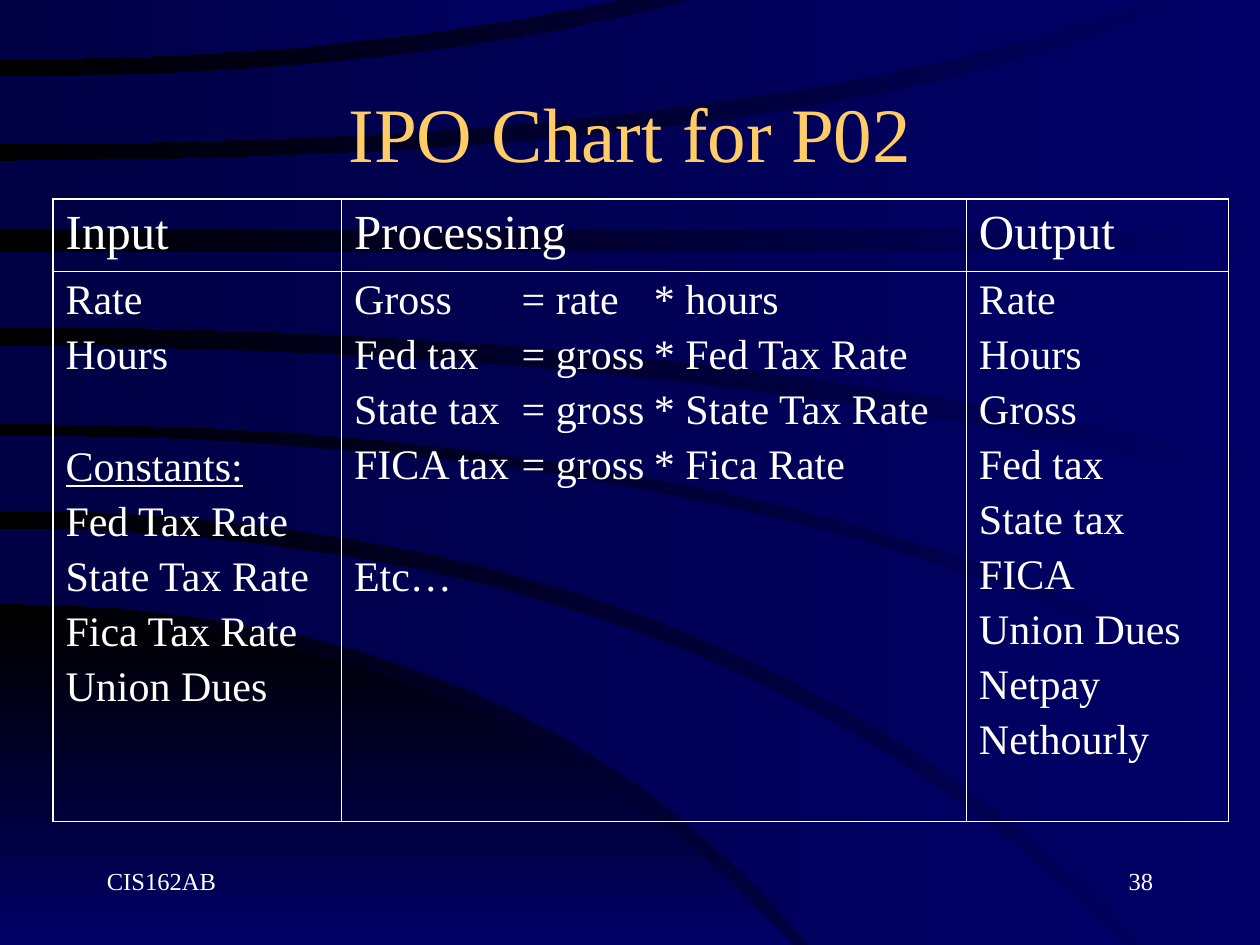
"""Build the IPO chart slide: dark swooping bands, a title, a table and a footer."""
from pptx import Presentation
from pptx.dml.color import RGBColor
from pptx.enum.text import MSO_ANCHOR, PP_ALIGN
from pptx.oxml.ns import qn
from pptx.util import Inches, Pt
from lxml import etree

MID = MSO_ANCHOR.MIDDLE
LEFT, MIDDLE, RIGHT = PP_ALIGN.LEFT, PP_ALIGN.CENTER, PP_ALIGN.RIGHT

THEME = {
    "font": "Times New Roman",
    "gold": "FFCC66", "white": "FFFFFF",
    "navy": "000066", "dusk": "000044", "black": "000000",
    "title": 44, "head": 28, "body": 24, "foot": 14,
    "space": 4.9, "gap": 37.4, "outer": 1.08, "inner": 0.45,
}


def shade(fill, start, end, angle):
    """Give a fill a two-stop linear gradient."""
    fill.gradient()
    fill.gradient_angle = angle
    for stop, tone in zip(fill.gradient_stops, (start, end)):
        stop.color.rgb = RGBColor.from_string(THEME[tone])


def style(par, size, tone="white", align=LEFT):
    """Set the type of one paragraph."""
    par.alignment = align
    par.font.name = THEME["font"]
    par.font.size = Pt(THEME[size])
    par.font.color.rgb = RGBColor.from_string(THEME[tone])


prs = Presentation()
prs.slide_width, prs.slide_height = Inches(10), Inches(7.5)
W, H = prs.slide_width, prs.slide_height
slide = prs.slides.add_slide(prs.slide_layouts[5])
shade(slide.background.fill, "navy", "black", 180)

UNIT = Inches(0.01)
STEPS = 16
BANDS = [
    [(491, 398, 629, 750), (750, 315, 629, 750)],
    [(420, 568, 893, 750), (479, 419, 642, 750)],
    [(346, 630, 1000, 562), (405, 582, 909, 750)],
    [(275, 554, 1000, 385), (336, 634, 1000, 548)],
    [(200, 500, 1000, 200), (259, 566, 1000, 368)],
    [(128, 674, 943, -2), (182, 500, 1000, 182)],
    [(61, 332, 556, -2), (114, 618, 917, -2)],
    [(-2, 250, 501, -2), (47, 276, 501, -2)],
]
for i, edges in enumerate(BANDS):
    curves = []
    for start, bend, right, end in edges:
        curve = []
        for step in range(STEPS + 1):
            t = step / STEPS
            curve.append((2 * t * (1 - t) * bend + t * t * right,
                          start + t * t * (end - start)))
        curves.append(curve)
    upper, lower = curves
    ends = upper[-1], lower[-1]
    corner = (max(ends)[0], min(ends)[1])
    path = slide.shapes.build_freeform(*upper[0], scale=UNIT)
    path.add_line_segments(upper[1:] + [corner] + lower[::-1], close=True)
    band = path.convert_to_shape()
    band.shadow.inherit = False
    band.line.fill.background()
    if i == 0:
        shade(band.fill, "black", "navy", 270)
    else:
        shade(band.fill, "navy", "dusk", 180)

title = slide.shapes.title
slide.shapes._spTree.append(title._element)
title.left, title.top = int(W * 0.075), Inches(0.42)
title.width, title.height = int(W * 0.85), Inches(1.25)
title.text_frame.vertical_anchor = MID
title.text_frame.text = "IPO Chart for P02"
style(title.text_frame.paragraphs[0], "title", "gold", MIDDLE)

COLS = [2.29, 4.96, 2.08]
ROWS = [0.57, 4.37]
TABS = [1.33, 2.38]
CELLS = [
    [["Input"], ["Processing"], ["Output"]],
    [["Rate", "Hours", "Constants:", "Fed Tax Rate", "State Tax Rate",
      "Fica Tax Rate", "Union Dues"],
     ["Gross\t= rate\t* hours", "Fed tax\t= gross\t* Fed Tax Rate",
      "State tax\t= gross\t* State Tax Rate", "FICA tax\t= gross\t* Fica Rate",
      "Etc…"],
     ["Rate", "Hours", "Gross", "Fed tax", "State tax", "FICA", "Union Dues",
      "Netpay", "Nethourly"]],
]
frame = slide.shapes.add_table(len(ROWS), len(COLS), Inches(0.42), Inches(1.58),
                               Inches(sum(COLS)), Inches(sum(ROWS)))
table = frame.table
table.first_row = table.horz_banding = False
for col, width in zip(table.columns, COLS):
    col.width = Inches(width)
for row, height in zip(table.rows, ROWS):
    row.height = Inches(height)

for r, line in enumerate(CELLS):
    for c, texts in enumerate(line):
        cell = table.cell(r, c)
        props = cell._tc.get_or_add_tcPr()
        sides = {"L": c == 0, "R": c == len(COLS) - 1,
                 "T": r == 0, "B": r == len(ROWS) - 1}
        for side, outer in sides.items():
            width = Pt(THEME["outer" if outer else "inner"])
            rule = etree.SubElement(props, qn("a:ln" + side), w=str(int(width)))
            solid = etree.SubElement(rule, qn("a:solidFill"))
            etree.SubElement(solid, qn("a:srgbClr"), val=THEME["white"])
        cell.fill.background()
        cell.text_frame.text = "\n".join(texts)
        for n, par in enumerate(cell.text_frame.paragraphs):
            style(par, "body" if r else "head")
            if n:
                apart = par.text in ("Constants:", "Etc…")
                par.space_before = Pt(THEME["gap" if apart else "space"])
            if par.text == "Constants:":
                par.font.underline = True
            if "\t" in par.text:
                stops = etree.Element(qn("a:tabLst"))
                for tab in TABS:
                    etree.SubElement(stops, qn("a:tab"), pos=str(int(Inches(tab))), algn="l")
                par._p.pPr.find(qn("a:defRPr")).addprevious(stops)

for text, left, align in (("38", 0.717, RIGHT), ("CIS162AB", 0.075, LEFT)):
    box = slide.shapes.add_textbox(int(W * left), int(H * 0.91),
                                   Inches(2.08), Inches(0.5))
    box.text_frame.word_wrap = True
    box.text_frame.text = text
    style(box.text_frame.paragraphs[0], "foot", align=align)

prs.save("out.pptx")
